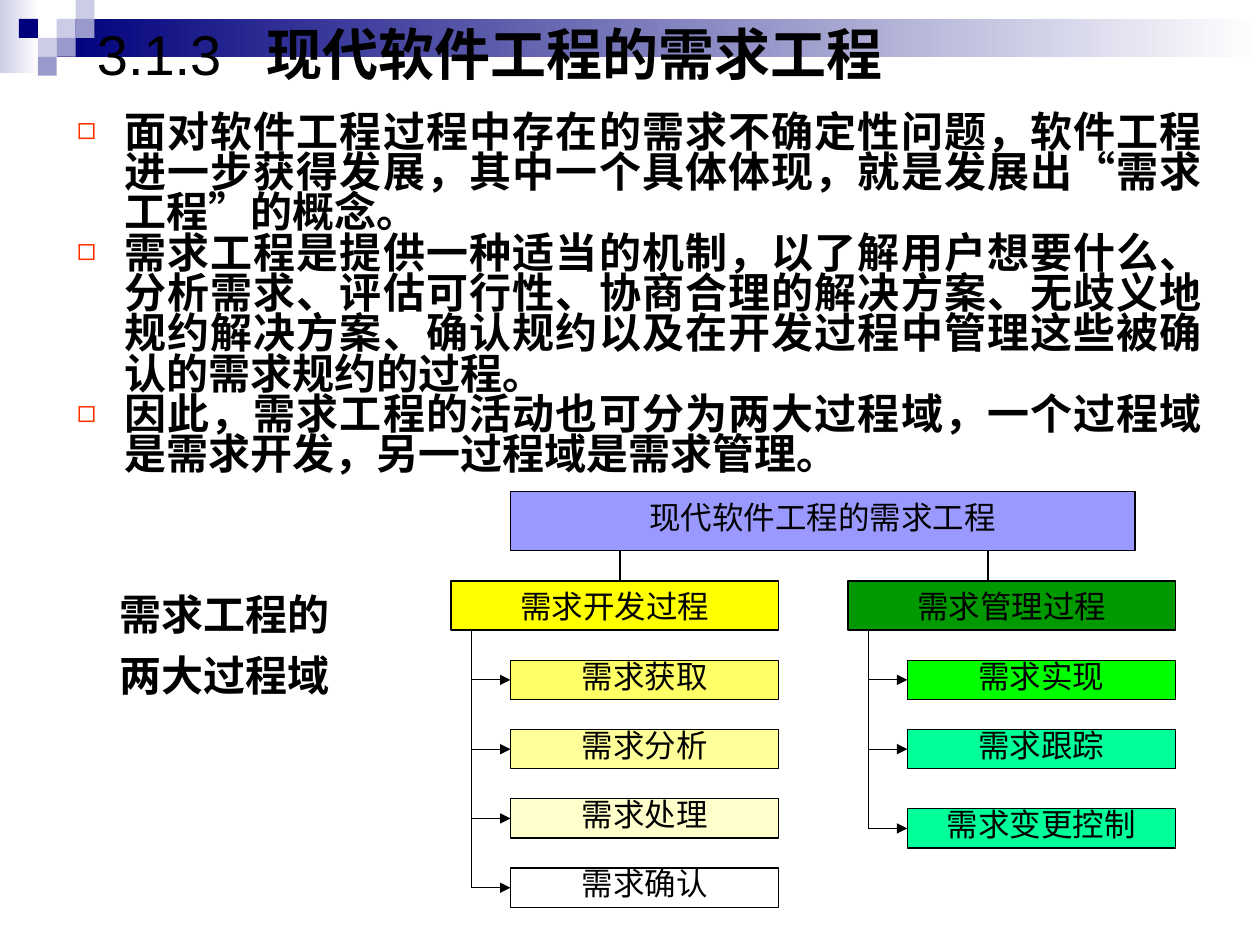
from lxml import etree
from pptx import Presentation
from pptx.dml.color import RGBColor
from pptx.enum.shapes import MSO_CONNECTOR, MSO_SHAPE
from pptx.enum.text import MSO_ANCHOR, MSO_AUTO_SIZE, PP_ALIGN
from pptx.oxml.ns import qn
from pptx.util import Pt

RECT = MSO_SHAPE.RECTANGLE
STRAIGHT = MSO_CONNECTOR.STRAIGHT
TOP, MIDDLE = MSO_ANCHOR.TOP, MSO_ANCHOR.MIDDLE
LEFT, CENTER, JUSTIFY = PP_ALIGN.LEFT, PP_ALIGN.CENTER, PP_ALIGN.JUSTIFY
NO_FIT = MSO_AUTO_SIZE.NONE

BLACK = RGBColor(0x00, 0x00, 0x00)
WHITE = RGBColor(0xFF, 0xFF, 0xFF)
NAVY = RGBColor(0x00, 0x00, 0x7D)
LAVENDER = RGBColor(0xCC, 0xCC, 0xE6)
SLATE = RGBColor(0x99, 0x99, 0xCC)
PERIWINKLE = RGBColor(0x99, 0x99, 0xFF)
YELLOW = RGBColor(0xFF, 0xFF, 0x00)
YELLOW_MID = RGBColor(0xFF, 0xFF, 0x66)
YELLOW_LIGHT = RGBColor(0xFF, 0xFF, 0x99)
CREAM = RGBColor(0xFF, 0xFF, 0xCC)
GREEN_DARK = RGBColor(0x00, 0x99, 0x00)
GREEN = RGBColor(0x00, 0xFF, 0x00)
MINT = RGBColor(0x00, 0xFF, 0x99)
ORANGE = RGBColor(0xFF, 0x33, 0x00)

ARIAL, NOTO = "Arial", "Noto Sans CJK SC"

NUMBER, TITLE = "3.1.3", "现代软件工程的需求工程"
BULLETS = [
    ("面对软件工程过程中存在的需求不确定性问题，软件工程进一步获得发展，其中一个具体体现，就是发展出“需求工程”的概念。", ARIAL),
    ("需求工程是提供一种适当的机制，以了解用户想要什么、分析需求、评估可行性、协商合理的解决方案、无歧义地规约解决方案、确认规约以及在开发过程中管理这些被确认的需求规约的过程。", ARIAL),
    ("因此，需求工程的活动也可分为两大过程域，一个过程域是需求开发，另一过程域是需求管理。", NOTO),
]
CAPTION = "需求工程的\n两大过程域"
ROOT = "现代软件工程的需求工程"
DOMAINS = [
    {"name": "需求开发过程", "fill": YELLOW, "left": 257.8, "drop": 354.3,
     "steps": [("需求获取", YELLOW_MID, 377.3), ("需求分析", YELLOW_LIGHT, 416.9),
               ("需求处理", CREAM, 456.5), ("需求确认", WHITE, 496.1)]},
    {"name": "需求管理过程", "fill": GREEN_DARK, "left": 484.6, "drop": 564.5,
     "steps": [("需求实现", GREEN, 377.3), ("需求跟踪", MINT, 416.9),
               ("需求变更控制", MINT, 462.2)]},
]
BANDS = [(0, 0, 22.3, 41.8, LAVENDER), (32.4, 10.8, 687.6, 21.6, NAVY)]
TILE = 10.8
TILES = [(3, 1, LAVENDER), (4, 0, LAVENDER), (4, 1, SLATE), (2, 2, LAVENDER),
         (1, 1, NAVY), (3, 2, SLATE), (2, 3, SLATE)]

ROOT_TOP, ROOT_H = 280.8, 34
DOMAIN_TOP, DOMAIN_W, DOMAIN_H = 332, 187.2, 28
STEP_INDENT, STEP_W, STEP_H = 33.9, 153.3, 22.4
TRUNK_INDENT = 11.5


def place(shape, left, top, width, height):
    shape.left, shape.top = Pt(left), Pt(top)
    shape.width, shape.height = Pt(width), Pt(height)


def style(p, size, name=ARIAL, bold=False, align=LEFT):
    p.alignment = align
    for r in p.runs:
        r.font.size, r.font.name, r.font.bold = Pt(size), name, bold
        r.font.color.rgb = BLACK


def frame(shape, anchor=TOP):
    tf = shape.text_frame
    tf.word_wrap, tf.auto_size, tf.vertical_anchor = True, NO_FIT, anchor
    return tf


def add_box(left, top, width, height, color):
    sp = s.shapes.add_shape(RECT, Pt(left), Pt(top), Pt(width), Pt(height))
    sp.shadow.inherit = False
    sp.fill.solid()
    sp.fill.fore_color.rgb = color
    return sp


def add_node(text, left, top, width, height, color, anchor, bottom):
    sp = add_box(left, top, width, height, color)
    sp.line.color.rgb, sp.line.width = BLACK, Pt(0.75)
    tf = frame(sp, anchor)
    tf.margin_top = Pt(3.6 if anchor == TOP else 0)
    tf.margin_bottom = Pt(bottom)
    tf.text = text
    style(tf.paragraphs[0], 18, align=CENTER)
    return sp


def add_line(x1, y1, x2, y2, target=None):
    cx = s.shapes.add_connector(STRAIGHT, Pt(x1), Pt(y1), Pt(x2), Pt(y2))
    cx.line.color.rgb, cx.line.width = BLACK, Pt(0.75)
    etree.SubElement(cx.element.spPr, qn("a:effectLst"))
    if target is not None:
        cx.end_connect(target, 1)
        etree.SubElement(cx.line._get_or_add_ln(), qn("a:tailEnd"), type="triangle")


def add_bullet(p):
    pPr = p._p.get_or_add_pPr()
    pPr.set("marL", str(Pt(27)))
    pPr.set("indent", str(Pt(-27)))
    clr = etree.SubElement(pPr, qn("a:buClr"))
    etree.SubElement(clr, qn("a:srgbClr"), val=str(ORANGE))
    etree.SubElement(pPr, qn("a:buSzPct"), val="75000")
    etree.SubElement(pPr, qn("a:buChar"), char="◻")


prs = Presentation()
prs.slide_width, prs.slide_height = Pt(720), Pt(540)
s = prs.slides.add_slide(prs.slide_layouts[1])
title, body = s.shapes.title, s.placeholders[1]

decor = []
for *box, color in BANDS:
    sp = add_box(*box, color)
    sp.fill.gradient()
    sp.fill.gradient_angle = 0
    for stop, rgb in zip(sp.fill.gradient_stops, (color, WHITE)):
        stop.color.rgb = rgb
    decor.append(sp)
for col, row, color in TILES:
    decor.append(add_box(col * TILE, row * TILE, TILE, TILE, color))
for i, sp in enumerate(decor):
    sp.line.fill.background()
    s.shapes.element.insert(2 + i, sp.element)

place(title, 48.2, 15.1, 550, 38.2)
p = frame(title).paragraphs[0]
p.text = NUMBER + "\t"
p.add_run().text = TITLE
tabs = etree.SubElement(p._p.get_or_add_pPr(), qn("a:tabLst"))
etree.SubElement(tabs, qn("a:tab"), pos=str(Pt(97)), algn="l")
style(p, 32)
p.line_spacing = 0.8
p.runs[-1].font.bold = True

place(body, 36.7, 62, 657.4, 225)
tf = frame(body)
tf.text = "\n".join(text for text, _ in BULLETS)
for p, (_, name) in zip(tf.paragraphs, BULLETS):
    add_bullet(p)
    style(p, 24, name, True, JUSTIFY)
    p.line_spacing, p.space_before = 0.8, Pt(0)

caption = s.shapes.add_textbox(Pt(61.2), Pt(332.6), Pt(162), Pt(90.7))
tf = frame(caption)
tf.text = CAPTION
for p in tf.paragraphs:
    style(p, 24, NOTO, True)
tf.paragraphs[1].space_before = Pt(6)

add_node(ROOT, 291.6, ROOT_TOP, 357.1, ROOT_H, PERIWINKLE, TOP, 0)
for domain in DOMAINS:
    left, drop = domain["left"], domain["drop"]
    add_node(domain["name"], left, DOMAIN_TOP, DOMAIN_W, DOMAIN_H, domain["fill"], TOP, 0)
    add_line(drop, ROOT_TOP + ROOT_H, drop, DOMAIN_TOP)
    trunk, step_left = left + TRUNK_INDENT, left + STEP_INDENT
    for text, color, top in domain["steps"]:
        step = add_node(text, step_left, top, STEP_W, STEP_H, color, MIDDLE, 5)
        y = top + STEP_H / 2
        add_line(trunk, y, step_left, y, step)
    add_line(trunk, DOMAIN_TOP + DOMAIN_H, trunk, y)

prs.save("out.pptx")
